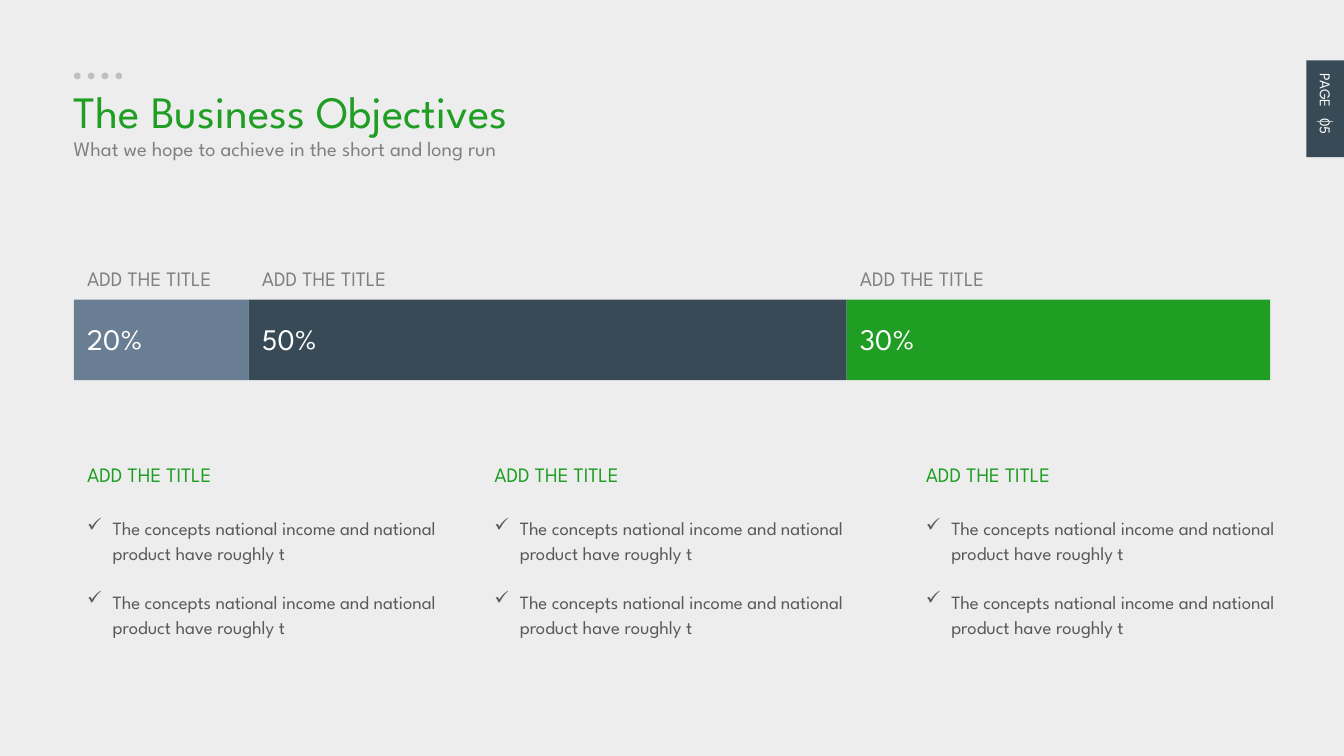
from itertools import accumulate

from lxml import etree
from pptx import Presentation, util as u
from pptx.dml.color import RGBColor
from pptx.enum import shapes, text
from pptx.oxml.ns import qn

PAPER = RGBColor(0xED, 0xED, 0xED)
DOT = RGBColor(0xBF, 0xBF, 0xBF)
GREEN = RGBColor(0x1F, 0x9E, 0x23)
SLATE = RGBColor(0x39, 0x4A, 0x57)
STEEL = RGBColor(0x69, 0x7E, 0x92)
GREY = RGBColor(0x80, 0x80, 0x80)
INK = RGBColor(0x59, 0x59, 0x59)
EDGE = RGBColor(0x28, 0x33, 0x3C)
WHITE = RGBColor(0xFF, 0xFF, 0xFF)
FONT = "League Spartan"
HEAD = "ADD THE TITLE"
NOTE = "The concepts national income and national product have roughly t"


def write(shape, words, size=11, color=GREY, wrap=False, mark=None, tab=None, lead=None):
    """Put formatted text into a shape."""
    frame = shape.text_frame
    frame.word_wrap = wrap
    frame.auto_size = text.MSO_AUTO_SIZE.SHAPE_TO_FIT_TEXT
    frame.vertical_anchor = text.MSO_ANCHOR.TOP
    para = frame.paragraphs[0]
    para.text = words
    para.alignment = text.PP_ALIGN.LEFT
    if lead:
        para.line_spacing = lead
    props = para._p.get_or_add_pPr()
    if mark:
        props.set("marL", str(u.Inches(0.19)))
        props.set("indent", str(-u.Inches(0.19)))
        etree.SubElement(props, qn("a:buChar"), char=mark)
    if tab:
        stops = etree.SubElement(props, qn("a:tabLst"))
        etree.SubElement(stops, qn("a:tab"), pos=str(u.Inches(tab)), algn="l")
    font = para.runs[0].font
    font.name, font.size, font.color.rgb = FONT, u.Pt(size), color


class Deck:
    """Hold the slide and its grid of 100 columns with square cells."""

    def __init__(self):
        self.show = Presentation()
        self.show.slide_width = u.Inches(10)
        self.show.slide_height = u.Inches(5.625)
        self.cell = self.show.slide_width / 100
        self.slide = self.show.slides.add_slide(self.show.slide_layouts[5])
        fill = self.slide.background.fill
        fill.solid()
        fill.fore_color.rgb = PAPER

    def grid(self, *cells):
        """Turn grid cells into lengths."""
        return [u.Emu(round(c * self.cell)) for c in cells]

    def title(self, words, *area):
        """Place and format the title placeholder."""
        box = self.slide.shapes.title
        box.left, box.top, box.width, box.height = self.grid(*area)
        write(box, words, size=24, color=GREEN)

    def label(self, words, *area, turn=0, **style):
        """Add a text box."""
        box = self.slide.shapes.add_textbox(*self.grid(*area))
        box.rotation = turn
        write(box, words, **style)

    def block(self, color, *area, kind=shapes.MSO_SHAPE.RECTANGLE):
        """Add a plain filled shape."""
        form = self.slide.shapes.add_shape(kind, *self.grid(*area))
        form.shadow.inherit = False
        form.fill.solid()
        form.fill.fore_color.rgb = color
        form.line.fill.background()

    def rule(self, color, *ends):
        """Add a thin straight line."""
        line = self.slide.shapes.add_connector(
            shapes.MSO_CONNECTOR.STRAIGHT, *self.grid(*ends))
        line.line.color.rgb = color
        line.line.width = u.Pt(0.25)
        etree.SubElement(line._element.spPr, qn("a:effectLst"))


def main():
    """Build the objectives slide."""
    deck = Deck()
    for i in range(4):
        deck.block(DOT, 5.5 + 1.03 * i, 5.4, 0.5, 0.5, kind=shapes.MSO_SHAPE.OVAL)
    deck.title("The Business Objectives", 4.5, 5.7, 39.8, 5)
    deck.label("What we hope to achieve in the short and long run", 4.5, 9.6, 40.2, 2.9)

    spans = [13, 44.5, 31.5]
    lefts = accumulate(spans[:-1], initial=5.5)
    for left, span, share, color in zip(lefts, spans, (20, 50, 30), (STEEL, SLATE, GREEN)):
        deck.block(color, left, 22.3, span, 6)
        deck.label(f"{share}%", left, 23.4, 6.2, 3.7, size=16, color=WHITE)
        deck.label(HEAD, left, 19.3, 12, 2.9)

    for left in (5.5, 35.8, 67.9):
        deck.label(HEAD, left, 33.9, 12, 2.9, color=GREEN)
        for top in (37.7, 43.2):
            deck.label(NOTE, left, top, 28.4, 4.8, size=10, color=INK,
                       wrap=True, mark="✓", lead=1.14)

    deck.block(SLATE, 97.2, 4.5, 2.8, 7.2)
    deck.label("PAGE\t05", 95, 6.9, 7.2, 2.4, turn=90, size=8, color=WHITE,
               wrap=True, tab=0.33)
    for color in (EDGE, DOT):
        deck.rule(color, 98, 9, 99.2, 9)
    deck.show.save("out.pptx")


if __name__ == "__main__":
    main()
